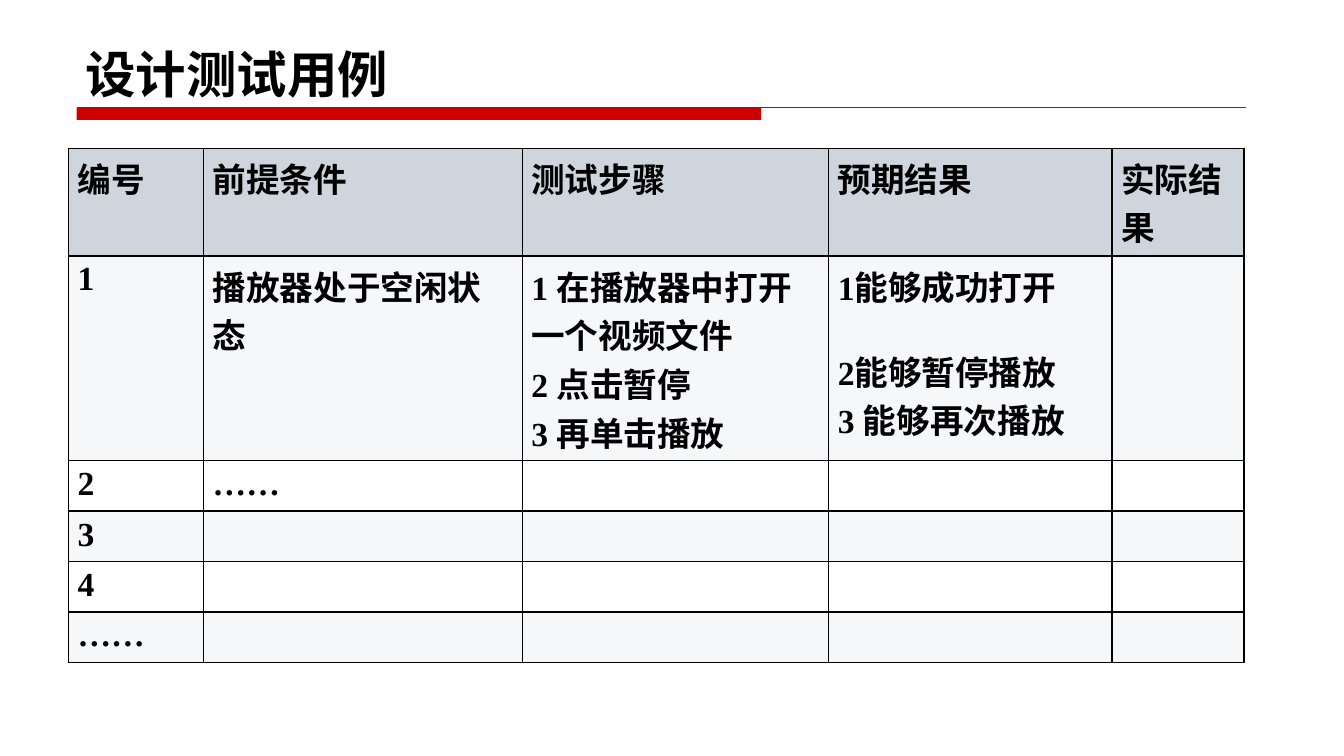
from dataclasses import dataclass

from lxml import etree
from pptx import Presentation
from pptx.dml.color import RGBColor
from pptx.enum import shapes, text
from pptx.oxml import ns
from pptx.util import Inches, Pt

COLORS = {"ink": "000000", "red": "CC0000", "header": "CED5DD",
          "band": "F6F7F9", "plain": "FFFFFF"}
LATIN_FONT, CJK_FONT = "Times New Roman", "Noto Sans CJK SC"
COLUMN_WIDTHS = [1.34, 3.16, 3.04, 2.81, 1.31]
STEP_GAP = 26


@dataclass
class Line:
    words: str
    space_before: float = 0


@dataclass
class Row:
    height: float
    fill: str
    cells: list[list[Line]]


@dataclass
class Rule:
    left: float
    right: float
    top: float
    weight: float


ROWS = [
    Row(1.07, "header", [[Line(name)] for name in
                         ("编号", "前提条件", "测试步骤", "预期结果", "实际结果")]),
    Row(2.03, "band", [
        [Line("1")],
        [Line("播放器处于空闲状态")],
        [Line("1 在播放器中打开一个视频文件"), Line("2 点击暂停"), Line("3 再单击播放")],
        [Line("1能够成功打开"), Line("2能够暂停播放", STEP_GAP), Line("3 能够再次播放")],
    ]),
    Row(0.47, "plain", [[Line("2")], [Line("……")]]),
    Row(0.47, "band", [[Line("3")]]),
    Row(0.47, "plain", [[Line("4")]]),
    Row(0.47, "band", [[Line("……")]]),
]
RULES = [Rule(0.76, 12.36, 1.07, 0.75), Rule(0.76, 12.32, 6.51, 0.25)]


def color(name: str) -> RGBColor:
    return RGBColor.from_string(COLORS[name])


def add_span(para, words: str, size: float, latin: str) -> None:
    span = para.add_run()
    span.text = words
    span.font.size, span.font.bold, span.font.name = Pt(size), True, latin
    span.font.color.rgb = color("ink")
    etree.SubElement(span.font._element, ns.qn("a:ea"), typeface=CJK_FONT)


def add_rule(page, rule: Rule) -> None:
    line = page.shapes.add_connector(
        shapes.MSO_CONNECTOR.STRAIGHT, Inches(rule.left), Inches(rule.top),
        Inches(rule.right), Inches(rule.top))
    line.line.color.rgb = color("red")
    line.line.width = Pt(rule.weight)
    etree.SubElement(line._element.spPr, ns.qn("a:effectLst"))


def add_title_bar(page) -> None:
    bar = page.shapes.add_shape(shapes.MSO_SHAPE.RECTANGLE, Inches(0.76),
                                Inches(1.07), Inches(6.79), Inches(0.12))
    bar.shadow.inherit = False
    bar.fill.solid()
    bar.fill.fore_color.rgb = color("red")
    bar.line.fill.background()


def add_title(page, words: str) -> None:
    box = page.shapes.add_textbox(Inches(0.75), Inches(0.29),
                                  Inches(11.67), Inches(0.79))
    frame = box.text_frame
    frame.word_wrap = True
    frame.vertical_anchor = text.MSO_ANCHOR.BOTTOM
    add_span(frame.paragraphs[0], words, 36, CJK_FONT)


def style_cell(cell, fill: str) -> None:
    """Give a cell its margins, black borders and fill."""
    cell.margin_left = cell.margin_right = Inches(0.09)
    cell.margin_top = cell.margin_bottom = Inches(0.05)
    properties = cell._tc.get_or_add_tcPr()
    for side in ("lnL", "lnR", "lnT", "lnB"):
        border = etree.SubElement(properties, ns.qn(f"a:{side}"), w=str(Pt(1)))
        solid = etree.SubElement(border, ns.qn("a:solidFill"))
        etree.SubElement(solid, ns.qn("a:srgbClr"), val=COLORS["ink"])
    cell.fill.solid()
    cell.fill.fore_color.rgb = color(fill)


def write_cell(cell, lines: list[Line]) -> None:
    frame = cell.text_frame
    for index, line in enumerate(lines):
        para = frame.add_paragraph() if index else frame.paragraphs[0]
        if line.space_before:
            para.space_before = Pt(line.space_before)
        add_span(para, line.words, 24, LATIN_FONT)


def add_test_table(page) -> None:
    table = page.shapes.add_table(
        len(ROWS), len(COLUMN_WIDTHS), Inches(0.68), Inches(1.47),
        Inches(sum(COLUMN_WIDTHS)), Inches(sum(row.height for row in ROWS))).table
    table.first_row = table.horz_banding = False
    for column, width in zip(table.columns, COLUMN_WIDTHS):
        column.width = Inches(width)
    for table_row, row in zip(table.rows, ROWS):
        table_row.height = Inches(row.height)
        for cell in table_row.cells:
            style_cell(cell, row.fill)
        for cell, lines in zip(table_row.cells, row.cells):
            write_cell(cell, lines)


def main() -> None:
    deck = Presentation()
    deck.slide_width, deck.slide_height = Inches(13.33), Inches(7.5)
    page = deck.slides.add_slide(deck.slide_layouts[6])
    add_title_bar(page)
    for rule in RULES:
        add_rule(page, rule)
    add_title(page, "设计测试用例")
    add_test_table(page)
    deck.save("out.pptx")


if __name__ == "__main__":
    main()
